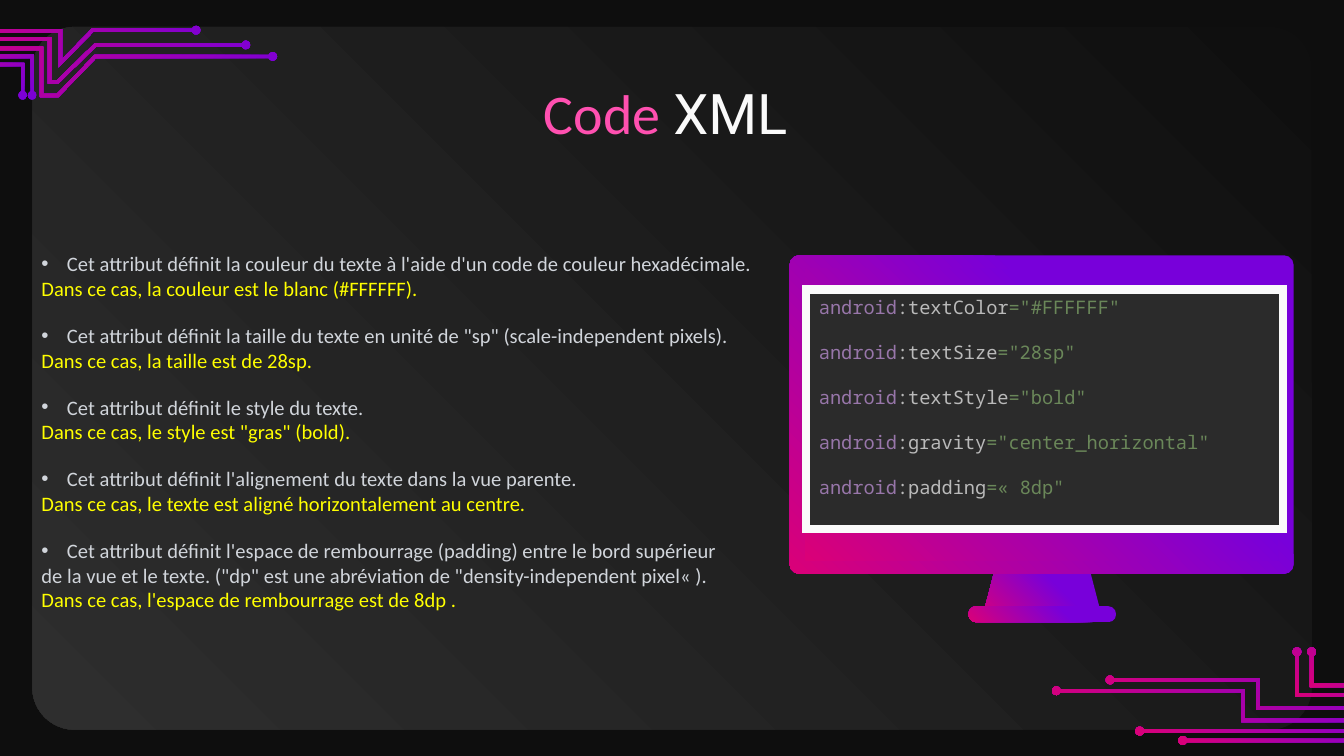
from math import asin, atan2, cos, hypot, pi, sin

from lxml import etree
from pptx import Presentation
from pptx.dml.color import RGBColor
from pptx.enum.shapes import MSO_SHAPE as SHAPE
from pptx.enum.text import MSO_ANCHOR as ANCHOR, PP_ALIGN as ALIGN
from pptx.oxml.ns import qn
from pptx.util import Inches, Pt

# Square grid: 100 columns across the slide
COLS, ROWS = 100, 56.25
CELL = Inches(10) / COLS

BACKDROP = RGBColor(0x0E, 0x0E, 0x0E)
PANEL_DARK = RGBColor(0x0F, 0x0F, 0x0F)
PANEL_LIGHT = RGBColor(0x2E, 0x2E, 0x2E)
PURPLE = RGBColor(0x78, 0x00, 0xDA)
MAGENTA = RGBColor(0xDA, 0x00, 0x78)
PINK = RGBColor(0xFF, 0x50, 0xB0)
WHITE = RGBColor(0xFA, 0xFA, 0xFA)
GREY = RGBColor(0xD1, 0xD5, 0xDB)
YELLOW = RGBColor(0xFF, 0xFF, 0x00)
SCREEN = RGBColor(0x2B, 0x2B, 0x2B)
CODE_PREFIX = RGBColor(0x98, 0x76, 0xAA)
CODE_NAME = RGBColor(0xBA, 0xBA, 0xBA)
CODE_VALUE = RGBColor(0x6A, 0x87, 0x59)

# Gradient directions, counter-clockwise
TO_BOTTOM_LEFT, TO_TOP_LEFT = 225, 135

# Circuit traces in grid cells; each ends in a dot
DOT_RADIUS, TRACE_WIDTH = 0.32, 0.25
RIGHT, LEFT = 106.1, -6.9
BOTTOM_TRACES = [
    [(RIGHT, 53.6), (92.5, 53.6), (92.5, 51.4), (78.6, 51.4)],
    [(RIGHT, 51.7), (96.5, 51.7), (96.5, 48.5)],
    [(RIGHT, 51), (97.6, 51), (97.6, 48.5)],
    [(RIGHT, 52.7), (93.6, 52.7), (93.6, 50.6), (82.6, 50.6)],
    [(RIGHT, 54.4), (84.8, 54.4)],
    [(RIGHT, 55.1), (88, 55.1)],
]
TOP_TRACES = [
    [(LEFT, 4.8), (1.7, 4.8), (1.7, 7.1)],
    [(LEFT, 4.2), (2.4, 4.2), (2.4, 7.1)],
    [(LEFT, 2.3), (4.5, 2.3), (4.5, 4.7), (6.9, 2.25), (14.6, 2.25)],
    [(LEFT, 3.6), (3.1, 3.6), (3.1, 7.1), (4.3, 7.1), (7.1, 4.2), (20.3, 4.2)],
    [(LEFT, 2.9), (3.7, 2.9), (3.7, 6.1), (4.3, 6.1), (7.1, 3.35), (18.3, 3.35)],
]

# Each entry: bulleted lines in grey, then the conclusion in yellow
NOTES = [
    (["Cet attribut définit la couleur du texte à l'aide d'un code de couleur hexadécimale."],
     "Dans ce cas, la couleur est le blanc (#FFFFFF)."),
    (["Cet attribut définit la taille du texte en unité de \"sp\" (scale-independent pixels)."],
     "Dans ce cas, la taille est de 28sp."),
    (["Cet attribut définit le style du texte."],
     "Dans ce cas, le style est \"gras\" (bold)."),
    (["Cet attribut définit l'alignement du texte dans la vue parente."],
     "Dans ce cas, le texte est aligné horizontalement au centre."),
    (["Cet attribut définit l'espace de rembourrage (padding) entre le bord supérieur",
      "de la vue et le texte. (\"dp\" est une abréviation de \"density-independent pixel« )."],
     "Dans ce cas, l'espace de rembourrage est de 8dp ."),
]

CODE = [
    ("textColor", '"#FFFFFF"'),
    ("textSize", '"28sp"'),
    ("textStyle", '"bold"'),
    ("gravity", '"center_horizontal"'),
    ("padding", '« 8dp"'),
]


def cells(*values):
    return [round(v * CELL) for v in values]


def paint(sp, start, end, hold=0, angle=TO_BOTTOM_LEFT):
    """Fill with a gradient that keeps the start colour up to hold."""
    sp.shadow.inherit = False
    sp.line.fill.background()
    sp.fill.gradient()
    sp.fill.gradient_angle = angle
    first, last = sp.fill.gradient_stops
    first.color.rgb, first.position = start, hold
    last.color.rgb, last.position = end, 1


def add_block(s, kind, box, colors, adj=None, hold=0):
    sp = s.shapes.add_shape(kind, *cells(*box))
    if adj is not None:
        sp.adjustments[0] = adj
    paint(sp, *colors, hold=hold)


def add_trace(s, pts, angle):
    """Outline a line of constant width that ends in a round dot."""
    half = TRACE_WIDTH / 2
    normals = []
    for (x0, y0), (x1, y1) in zip(pts, pts[1:]):
        length = hypot(x1 - x0, y1 - y0)
        normals.append(((y0 - y1) / length, (x1 - x0) / length))
    sides = [], []
    for (x, y), (ax, ay), (bx, by) in zip(pts, normals[:1] + normals, normals):
        k = half / (1 + ax * bx + ay * by)
        for side, sign in zip(sides, (1, -1)):
            side.append((x + sign * k * (ax + bx), y + sign * k * (ay + by)))

    nx, ny = normals[-1]
    heading, reach = atan2(-nx, ny), pi - asin(half / DOT_RADIUS)
    steps = 20
    angles = [heading + reach * (1 - 2 * i / steps) for i in range(steps + 1)]
    cx, cy = pts[-1]
    dot = [(cx + DOT_RADIUS * cos(a), cy + DOT_RADIUS * sin(a)) for a in angles]

    outline = [cells(*pt) for pt in sides[0] + dot + sides[1][::-1]]
    builder = s.shapes.build_freeform(*outline[0])
    builder.add_line_segments(outline[1:], close=True)
    paint(builder.convert_to_shape(), PURPLE, MAGENTA, angle=angle)


def add_text(s, box):
    tf = s.shapes.add_textbox(*cells(*box)).text_frame
    tf.word_wrap = True
    return tf


def add_paragraph(tf, first, gap=0):
    p = tf.paragraphs[0] if first else tf.add_paragraph()
    if gap and not first:
        p.space_before = Pt(gap)
    return p


def add_run(p, text, size, font, color):
    r = p.add_run()
    r.text = text
    r.font.size, r.font.name = Pt(size), font
    r.font.color.rgb = color


def add_bullet(p):
    pPr = p._p.get_or_add_pPr()
    indent = cells(1.9)[0]
    pPr.set("marL", str(indent))
    pPr.set("indent", str(-indent))
    etree.SubElement(pPr, qn("a:buFont")).set("typeface", "Arial")
    etree.SubElement(pPr, qn("a:buChar")).set("char", "•")


def add_title(s):
    tf = add_text(s, (7.9, 4.85, 84.3, 6.3))
    tf.margin_top = tf.margin_bottom = cells(1)[0]
    p = tf.paragraphs[0]
    p.alignment = ALIGN.CENTER
    add_run(p, "Code ", 30, "Calibri", PINK)
    add_run(p, "XML ", 30, "Roboto", WHITE)


def add_notes(s):
    tf = add_text(s, (2.1, 18.2, 92.2, 31.6))
    for i, (lines, conclusion) in enumerate(NOTES):
        for j, line in enumerate(lines):
            p = add_paragraph(tf, i + j == 0, gap=0 if j else 12)
            if j == 0:
                add_bullet(p)
            add_run(p, line, 11, "Calibri", GREY)
        add_run(add_paragraph(tf, False), conclusion, 11, "Calibri", YELLOW)


def add_monitor(s):
    colors = PURPLE, MAGENTA
    add_block(s, SHAPE.TRAPEZOID, (73, 42.4, 9.1, 3.9), colors, 0.26, hold=0.35)
    add_block(s, SHAPE.ROUNDED_RECTANGLE, (58.75, 19, 37.5, 23.7), colors, 0.03, hold=0.35)
    add_block(s, SHAPE.RECTANGLE, (59.9, 20, 35.2, 21.7), colors, hold=0.35)
    add_block(s, SHAPE.ROUNDED_RECTANGLE, (72.05, 45.1, 11, 1.2), colors, 0.5, hold=0.35)


def add_code(s):
    sp = s.shapes.add_shape(SHAPE.RECTANGLE, *cells(59.95, 21.55, 35.5, 17.8))
    sp.shadow.inherit = False
    sp.fill.solid()
    sp.fill.fore_color.rgb = SCREEN
    sp.line.color.rgb, sp.line.width = WHITE, Pt(4.5)
    # Square corners on the frame
    etree.SubElement(sp.line._get_or_add_ln(), qn("a:miter")).set("lim", "800000")
    tf = sp.text_frame
    tf.word_wrap, tf.vertical_anchor = True, ANCHOR.TOP
    for i, (name, value) in enumerate(CODE):
        p = add_paragraph(tf, i == 0, gap=12)
        p.alignment = ALIGN.LEFT
        for text, color in (("android", CODE_PREFIX), (f":{name}", CODE_NAME),
                            (f"={value}", CODE_VALUE)):
            add_run(p, text, 10, "Noto Sans Mono", color)


def main():
    prs = Presentation()
    prs.slide_width, prs.slide_height = cells(COLS, ROWS)
    s = prs.slides.add_slide(prs.slide_layouts[6])

    # Background and circuit decoration
    s.background.fill.solid()
    s.background.fill.fore_color.rgb = BACKDROP
    add_block(s, SHAPE.ROUNDED_RECTANGLE, (2.4, 2, 95.2, 52.3),
              (PANEL_DARK, PANEL_LIGHT), 0.06)
    for traces, angle in ((BOTTOM_TRACES, TO_BOTTOM_LEFT), (TOP_TRACES, TO_TOP_LEFT)):
        for pts in traces:
            add_trace(s, pts, angle)

    # Content
    add_title(s)
    add_notes(s)
    add_monitor(s)
    add_code(s)
    prs.save("out.pptx")


if __name__ == "__main__":
    main()
